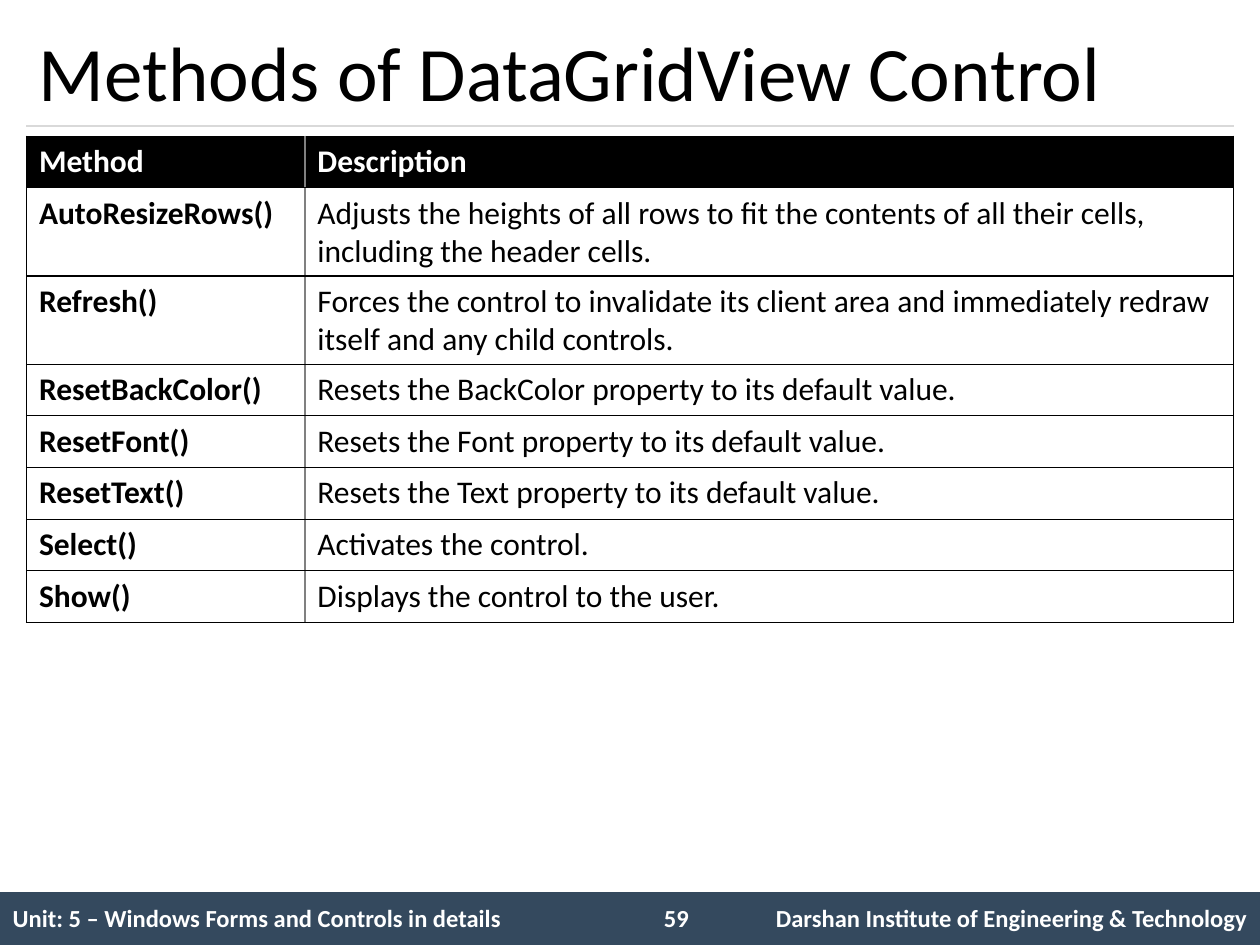
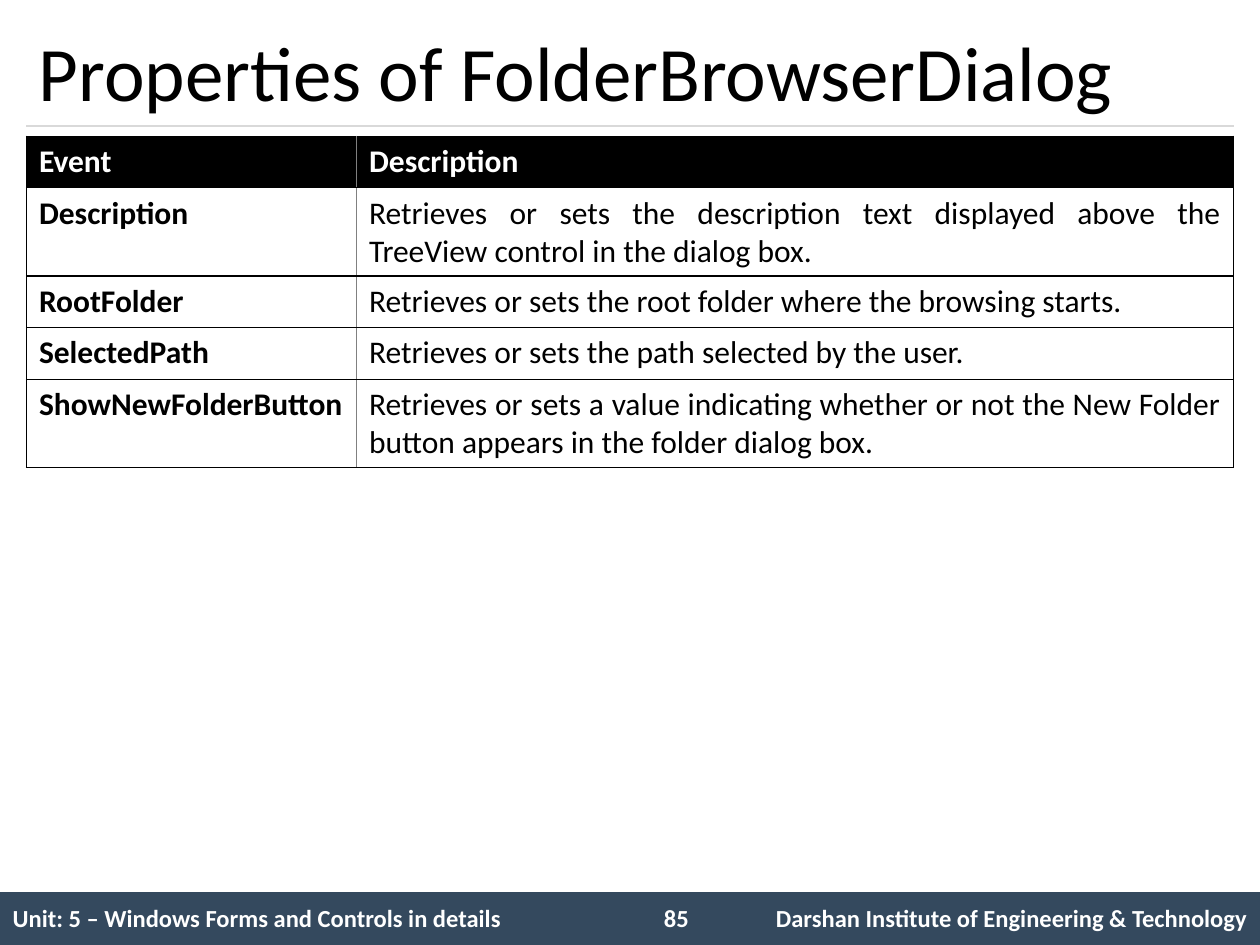
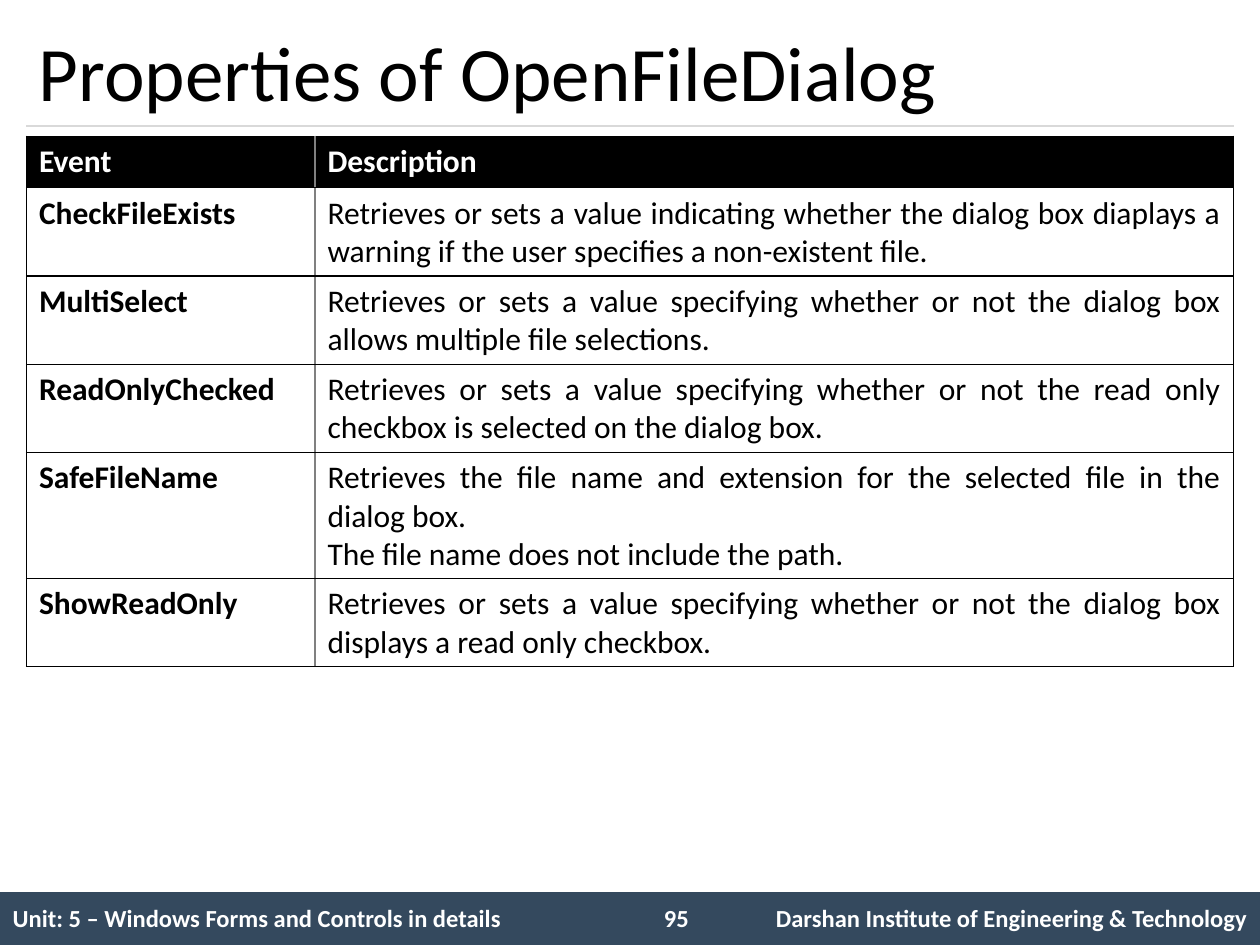
"""Builds three reference slides on form controls, each with a two-column table."""
from dataclasses import dataclass

from lxml.etree import SubElement
from pptx import Presentation
from pptx.dml.color import RGBColor
from pptx.enum.shapes import MSO_CONNECTOR as Connector, MSO_SHAPE as Shape
from pptx.enum.text import MSO_ANCHOR as Anchor, PP_ALIGN as Align
from pptx.oxml.ns import qn
from pptx.util import Inches, Pt

UNIT = "Unit: 5 – Windows Forms and Controls in details"
INSTITUTE = "Darshan Institute of Engineering & Technology"

TOPICS = [
    {
        "title": "Methods of DataGridView Control", "page": 59,
        "name_width": 2.21, "align": Align.LEFT,
        "rows": [
            ("Method", "Description"),
            ("AutoResizeRows()", "Adjusts the heights of all rows to fit the contents of all their cells, "
             "including the header cells."),
            ("Refresh()", "Forces the control to invalidate its client area and immediately redraw "
             "itself and any child controls."),
            ("ResetBackColor()", "Resets the BackColor property to its default value."),
            ("ResetFont()", "Resets the Font property to its default value."),
            ("ResetText()", "Resets the Text property to its default value."),
            ("Select()", "Activates the control."),
            ("Show()", "Displays the control to the user."),
        ],
    },
    {
        "title": "Properties of FolderBrowserDialog", "page": 85,
        "name_width": 2.62, "align": Align.JUSTIFY,
        "rows": [
            ("Event", "Description"),
            ("Description", "Retrieves or sets the description text displayed above the "
             "TreeView control in the dialog box."),
            ("RootFolder", "Retrieves or sets the root folder where the browsing starts."),
            ("SelectedPath", "Retrieves or sets the path selected by the user."),
            ("ShowNewFolderButton", "Retrieves or sets a value indicating whether or not the New Folder "
             "button appears in the folder dialog box."),
        ],
    },
    {
        "title": "Properties of OpenFileDialog", "page": 95,
        "name_width": 2.29, "align": Align.JUSTIFY,
        "rows": [
            ("Event", "Description"),
            ("CheckFileExists", "Retrieves or sets a value indicating whether the dialog box diaplays a "
             "warning if the user specifies a non-existent file."),
            ("MultiSelect", "Retrieves or sets a value specifying whether or not the dialog box "
             "allows multiple file selections."),
            ("ReadOnlyChecked", "Retrieves or sets a value specifying whether or not the read only "
             "checkbox is selected on the dialog box."),
            ("SafeFileName", "Retrieves the file name and extension for the selected file in the "
             "dialog box.\nThe file name does not include the path."),
            ("ShowReadOnly", "Retrieves or sets a value specifying whether or not the dialog box "
             "displays a read only checkbox."),
        ],
    },
]


@dataclass(frozen=True)
class Theme:
    font: str = "Calibri"
    black: str = "000000"
    white: str = "FFFFFF"
    band: str = "34495E"
    rule: str = "D9D9D9"
    divider: str = "808080"
    title_size: int = 44
    table_size: int = 18
    footer_size: int = 14
    plain_table: str = "{2D5ABB26-0587-4C30-8999-92F81FD0307C}"


THEME = Theme()
WIDTH, HEIGHT = 10, 7.5
MARGIN = 0.21
CONTENT_WIDTH = WIDTH - 2 * MARGIN
RULE_TOP, TABLE_TOP, BAND_TOP = 1, 1.08, 7.08
ROW_HEIGHT, FOOTER_HEIGHT = 0.41, 0.43
FOOTER_WIDTHS = (5.08, 0.67, 4.25)


def box(*lengths):
    return [Inches(length) for length in lengths]


def write(frame, text, size, color, bold=False, align=Align.LEFT):
    frame.text = text
    for paragraph in frame.paragraphs:
        paragraph.alignment = align
        font = paragraph.font
        font.name, font.size, font.bold = THEME.font, Pt(size), bold
        font.color.rgb = RGBColor.from_string(color)


def add_plain_table(slide, left, top, widths, row_count, row_height):
    frame = slide.shapes.add_table(
        row_count, len(widths), *box(left, top, sum(widths), row_count * row_height))
    table = frame.table
    table.horz_banding = False
    table._tbl.tblPr.find(qn("a:tableStyleId")).text = THEME.plain_table
    for column, width in zip(table.columns, widths):
        column.width = Inches(width)
    return table


def add_border(cell, side, color, points):
    line = SubElement(cell._tc.get_or_add_tcPr(), qn(f"a:ln{side}"), w=str(Pt(points)))
    SubElement(SubElement(line, qn("a:solidFill")), qn("a:srgbClr"), val=color)


def add_heading(slide, title):
    heading = slide.shapes.add_textbox(*box(MARGIN, 0.12, CONTENT_WIDTH, 0.88)).text_frame
    heading.word_wrap = True
    heading.vertical_anchor = Anchor.MIDDLE
    write(heading, title, THEME.title_size, THEME.black)
    rule = slide.shapes.add_connector(
        Connector.STRAIGHT, *box(MARGIN, RULE_TOP, WIDTH - MARGIN, RULE_TOP))
    rule.line.color.rgb = RGBColor.from_string(THEME.rule)
    rule.line.width = Pt(0.75)
    SubElement(rule._element.spPr, qn("a:effectLst"))


def add_footer(slide, page):
    band = slide.shapes.add_shape(Shape.RECTANGLE, *box(0, BAND_TOP, WIDTH, HEIGHT - BAND_TOP))
    band.shadow.inherit = False
    band.fill.solid()
    band.fill.fore_color.rgb = RGBColor.from_string(THEME.band)
    band.line.fill.background()

    credits = add_plain_table(slide, 0, BAND_TOP, FOOTER_WIDTHS, 1, FOOTER_HEIGHT)
    credits.first_row = False
    aligns = (Align.LEFT, Align.CENTER, Align.RIGHT)
    for cell, text, align in zip(credits.rows[0].cells, (UNIT, "", INSTITUTE), aligns):
        cell.fill.background()
        cell.vertical_anchor = Anchor.MIDDLE
        write(cell.text_frame, text, THEME.footer_size, THEME.white, True, align)

    number = slide.shapes.add_textbox(*box(5.17, 7.12, 0.58, 0.34)).text_frame
    number.word_wrap = True
    write(number, str(page), THEME.footer_size, THEME.white, True)


def add_members(slide, rows, name_width, align):
    widths = (name_width, CONTENT_WIDTH - name_width)
    members = add_plain_table(slide, MARGIN, TABLE_TOP, widths, len(rows), ROW_HEIGHT)
    outer, divider = (THEME.black, 0.75), (THEME.divider, 1)
    for r, row in enumerate(rows):
        members.rows[r].height = Inches(ROW_HEIGHT)
        header = r == 0
        ink, paper = (THEME.white, THEME.black) if header else (THEME.black, THEME.white)
        for c, text in enumerate(row):
            cell = members.cell(r, c)
            is_name = c == 0
            left, right = (outer, divider) if is_name else (divider, outer)
            for side, style in zip("LRTB", (left, right, outer, outer)):
                add_border(cell, side, *style)
            cell.fill.solid()
            cell.fill.fore_color.rgb = RGBColor.from_string(paper)
            write(cell.text_frame, text, THEME.table_size, ink, header or is_name,
                  Align.LEFT if header or is_name else align)


def main():
    deck = Presentation()
    deck.slide_width, deck.slide_height = box(WIDTH, HEIGHT)
    for topic in TOPICS:
        slide = deck.slides.add_slide(deck.slide_layouts[6])
        add_footer(slide, topic["page"])
        add_heading(slide, topic["title"])
        add_members(slide, topic["rows"], topic["name_width"], topic["align"])
    deck.save("out.pptx")


if __name__ == "__main__":
    main()
